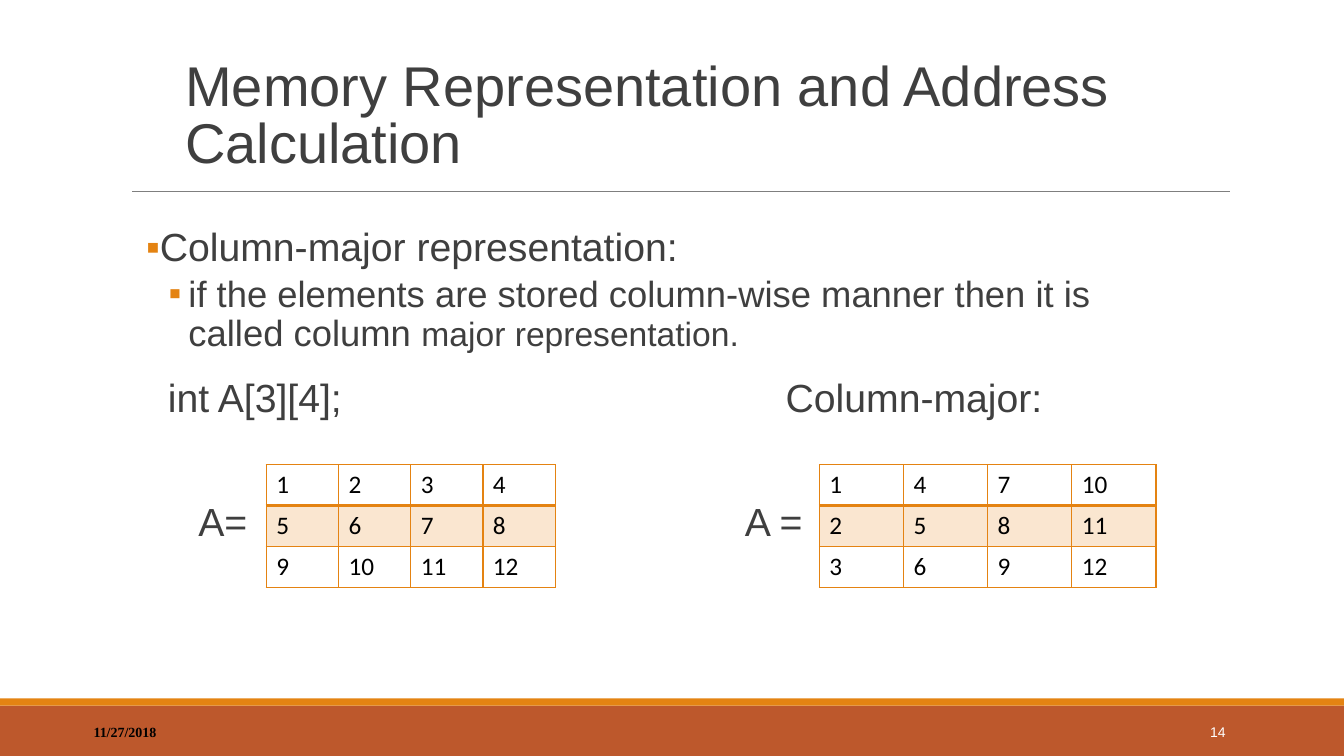
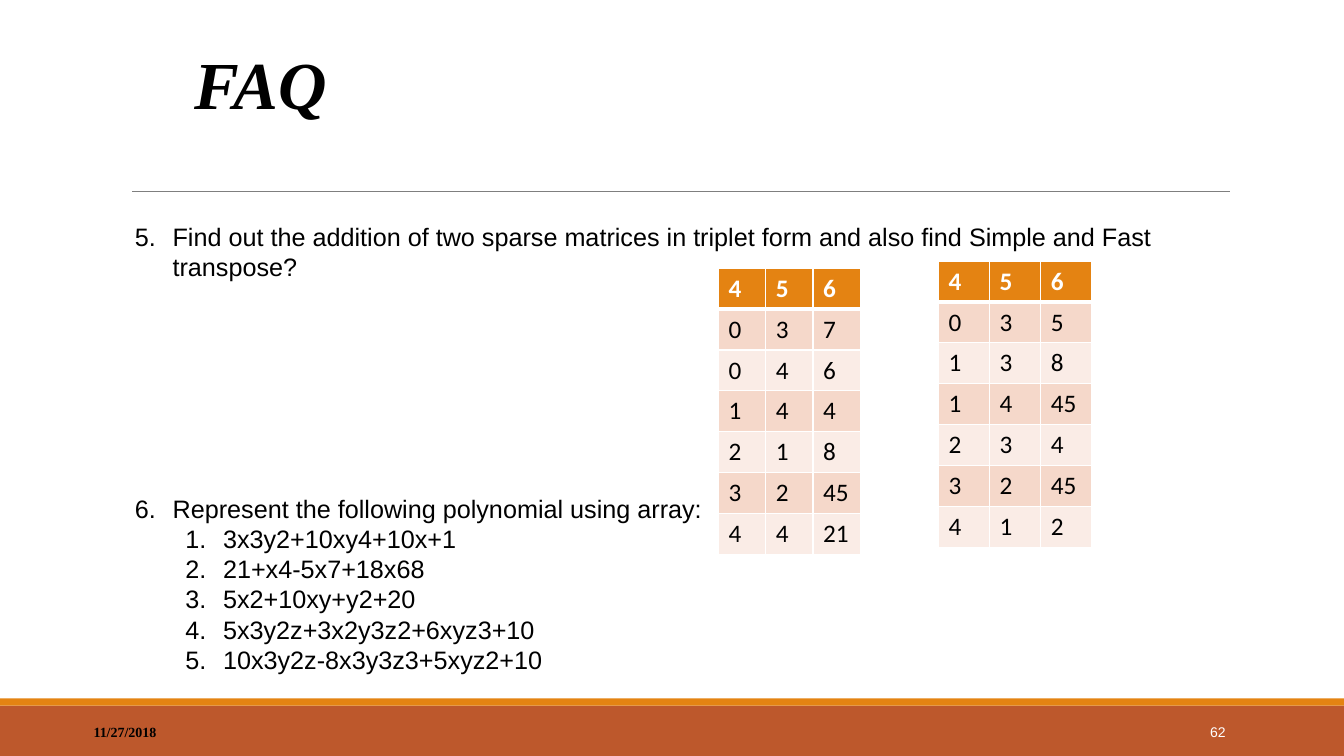
"""Build two lecture slides on array storage and sparse matrices."""
from dataclasses import dataclass

from lxml.etree import SubElement
from pptx import Presentation
from pptx.dml.color import RGBColor
from pptx.enum.shapes import MSO_CONNECTOR, MSO_SHAPE
from pptx.enum.text import MSO_ANCHOR, MSO_AUTO_SIZE, PP_ALIGN
from pptx.oxml import parse_xml
from pptx.oxml.ns import nsdecls, qn
from pptx.util import Cm, Pt


@dataclass(frozen=True)
class Theme:
    sans: str = "Arial"
    serif: str = "Times New Roman"
    table_font: str = "Calibri"
    ink: str = "3F3F3F"
    black: str = "000000"
    white: str = "FFFFFF"
    accent: str = "E48312"
    accent_tint: str = "FAE6D0"
    footer: str = "BD582C"
    rule: str = "7F7F7F"
    row_dark: str = "F5D8CA"
    row_light: str = "FAECE6"
    title_size: int = 40
    faq_size: int = 48
    lead_size: int = 28
    detail_size: int = 26
    detail_tail_size: int = 24
    text_size: int = 18
    footer_size: int = 10


@dataclass(frozen=True)
class Item:
    text: str
    size: int
    color: str
    margin: float
    hanging: float
    level: int = 0
    before: float = 0
    spacing: float = 1.0
    number: int = 0
    tail: str = ""


class Deck:
    def __init__(self, theme):
        self.theme = theme
        self.prs = Presentation()
        self.prs.slide_width, self.prs.slide_height = Cm(33.87), Cm(19.05)
        self.slide = None

    def new_slide(self, number):
        t = self.theme
        self.slide = self.prs.slides.add_slide(self.prs.slide_layouts[1])
        self.band(17.78, 1.27, t.footer)
        self.band(17.6, 0.18, t.accent)
        self.rule(3.33, 30.99, 4.83)
        self.label("11/27/2018", (2.11, 17.93, 7.62, 1.02), t.footer_size,
                   t.black, font=t.serif, bold=True, inset=0.25)
        self.label(number, (27.51, 17.93, 3.63, 1.02), t.footer_size,
                   t.white, align=PP_ALIGN.RIGHT, inset=0.25)

    def band(self, top, height, color):
        band = self.slide.shapes.add_shape(
            MSO_SHAPE.RECTANGLE, 0, Cm(top), self.prs.slide_width, Cm(height))
        band.shadow.inherit = False
        band.fill.solid()
        band.fill.fore_color.rgb = RGBColor.from_string(color)
        band.line.fill.background()

    def rule(self, left, right, top):
        rule = self.slide.shapes.add_connector(
            MSO_CONNECTOR.STRAIGHT, Cm(left), Cm(top), Cm(right), Cm(top))
        rule.line.color.rgb = RGBColor.from_string(self.theme.rule)
        rule.line.width = Pt(0.75)
        SubElement(rule.element.spPr, qn("a:effectLst"))

    def style(self, run, size, color, font=None, bold=False, italic=False):
        run.font.name = font or self.theme.sans
        run.font.size = Pt(size)
        run.font.color.rgb = RGBColor.from_string(color)
        run.font.bold, run.font.italic = bold, italic

    def frame(self, shape, box, inset, anchor):
        shape.left, shape.top, shape.width, shape.height = map(Cm, box)
        frame = shape.text_frame
        frame.word_wrap = True
        frame.auto_size = MSO_AUTO_SIZE.NONE
        frame.vertical_anchor = anchor
        frame.margin_left = frame.margin_right = Cm(inset)
        frame.margin_top = frame.margin_bottom = Cm(0.13)
        return frame

    def title(self, text, box, size, color, spacing, **face):
        frame = self.frame(self.slide.shapes.title, box, 0.25, MSO_ANCHOR.BOTTOM)
        frame.text = text
        heading = frame.paragraphs[0]
        heading.alignment = PP_ALIGN.LEFT
        heading.line_spacing = spacing
        self.style(heading.runs[0], size, color, **face)

    def label(self, text, box, size, color, align=PP_ALIGN.LEFT, inset=0, **face):
        holder = self.slide.shapes.add_textbox(*map(Cm, box))
        frame = self.frame(holder, box, inset, MSO_ANCHOR.MIDDLE)
        frame.text = text
        frame.paragraphs[0].alignment = align
        self.style(frame.paragraphs[0].runs[0], size, color, **face)

    def body(self, items, box, inset=0):
        frame = self.frame(self.slide.placeholders[1], box, inset, MSO_ANCHOR.TOP)
        for index, item in enumerate(items):
            line = frame.add_paragraph() if index else frame.paragraphs[0]
            line.text = item.text
            line.level = item.level
            line.line_spacing = item.spacing
            line.space_before, line.space_after = Pt(item.before), Pt(0)
            self.style(line.runs[0], item.size, item.color)
            if item.tail:
                tail = line.add_run()
                tail.text = item.tail
                self.style(tail, self.theme.detail_tail_size, item.color)
            self.bullet(line, item)

    def bullet(self, line, item):
        props = line._p.get_or_add_pPr()
        props.set("marL", str(Cm(item.margin)))
        props.set("indent", str(-Cm(item.hanging)))
        color = self.theme.black if item.number else self.theme.accent
        SubElement(SubElement(props, qn("a:buClr")), qn("a:srgbClr"), val=color)
        SubElement(props, qn("a:buFont"), typeface=self.theme.sans)
        if item.number:
            SubElement(props, qn("a:buAutoNum"), type="arabicPeriod",
                       startAt=str(item.number))
        else:
            SubElement(props, qn("a:buChar"), char="▪")

    def table(self, rows, left, top, column, fills, edge, heavy, header=False):
        t = self.theme
        pitch = 1.03
        grid = self.slide.shapes.add_table(
            len(rows), len(rows[0]), Cm(left), Cm(top),
            Cm(column * len(rows[0])), Cm(pitch * len(rows))).table
        grid.first_row, grid.horz_banding = header, False
        for col in grid.columns:
            col.width = Cm(column)
        for r, values in enumerate(rows):
            grid.rows[r].height = Cm(pitch)
            for c, value in enumerate(values):
                cell = grid.cell(r, c)
                cell.text = str(value)
                cell.fill.solid()
                cell.fill.fore_color.rgb = RGBColor.from_string(fills[r])
                is_head = header and r == 0
                self.style(cell.text_frame.paragraphs[0].runs[0], t.text_size,
                           t.white if is_head else t.black,
                           font=t.table_font, bold=is_head)
                self.borders(cell, edge, top=heavy if r == 1 else 1,
                             bottom=heavy if r == 0 else 1)

    def borders(self, cell, color, top, bottom):
        props = cell._tc.get_or_add_tcPr()
        sides = (("lnL", 1), ("lnR", 1), ("lnT", top), ("lnB", bottom))
        for position, (side, width) in enumerate(sides):
            props.insert(position, parse_xml(
                f'<a:{side} {nsdecls("a")} w="{Pt(width)}"><a:solidFill>'
                f'<a:srgbClr val="{color}"/></a:solidFill></a:{side}>'))

    def matrix(self, rows, left, column):
        t = self.theme
        self.table(rows, left, 11.71, column, (t.white, t.accent_tint, t.white),
                   t.accent, heavy=2)

    def triplets(self, rows, left, top, column):
        t = self.theme
        stripes = [t.row_dark if r % 2 else t.row_light for r in range(1, len(rows))]
        self.table(rows, left, top, column, [t.accent, *stripes], t.white,
                   heavy=3, header=True)


def column_major(deck):
    t = deck.theme
    deck.new_slide("14")
    deck.title("Memory Representation and Address Calculation",
               (4.42, 1.2, 27.94, 3.35), t.title_size, t.ink, 0.85)
    deck.body([
        Item("Column-major representation:", t.lead_size, t.ink, 0.25, 0.25,
             spacing=0.9),
        Item("if the elements are stored column-wise manner then it is called column ",
             t.detail_size, t.ink, 1.07, 0.5, level=1, before=4, spacing=0.9,
             tail="major representation."),
    ], (3.68, 5.61, 26.19, 3.6))
    for text, left, middle, width in (
            ("int A[3][4];", 4.23, 10, 8), ("Column-major:", 19.8, 10, 9),
            ("A=", 5, 13.13, 1.7), ("A =", 18.77, 13.13, 1.8)):
        deck.label(text, (left, middle - 0.7, width, 1.4), t.lead_size, t.ink)
    deck.matrix([range(first, first + 4) for first in (1, 5, 9)], 6.71, 1.82)
    deck.matrix([range(first, 13, 3) for first in (1, 2, 3)], 20.65, 2.12)


def faq(deck):
    t = deck.theme
    deck.new_slide("62")
    deck.title("FAQ", (4.66, 0.53, 26, 2.69), t.faq_size, t.black, 1.1,
               font=t.serif, bold=True, italic=True)
    polynomials = ("3x3y2+10xy4+10x+1", "21+x4-5x7+18x68", "5x2+10xy+y2+20",
                   "5x3y2z+3x2y3z2+6xyz3+10", "10x3y2z-8x3y3z3+5xyz2+10")
    deck.body([
        Item("Find out the addition of two sparse matrices in triplet form and "
             "also find Simple and Fast transpose?",
             t.text_size, t.black, 0.95, 0.95, number=5),
        Item("Represent the following polynomial using array:",
             t.text_size, t.black, 0.95, 0.95, before=151, number=6),
        *(Item(polynomial, t.text_size, t.black, 2.22, 0.95, level=1, number=1)
          for polynomial in polynomials),
    ], (3.15, 5.44, 27.99, 11.81), inset=0.25)
    deck.triplets([(4, 5, 6), (0, 3, 7), (0, 4, 6), (1, 4, 4), (2, 1, 8),
                   (3, 2, 45), (4, 4, 21)], 18.11, 6.76, 1.19)
    deck.triplets([(4, 5, 6), (0, 3, 5), (1, 3, 8), (1, 4, 45), (2, 3, 4),
                   (3, 2, 45), (4, 1, 2)], 23.65, 6.58, 1.29)


def main():
    deck = Deck(Theme())
    column_major(deck)
    faq(deck)
    deck.prs.save("out.pptx")


if __name__ == "__main__":
    main()
